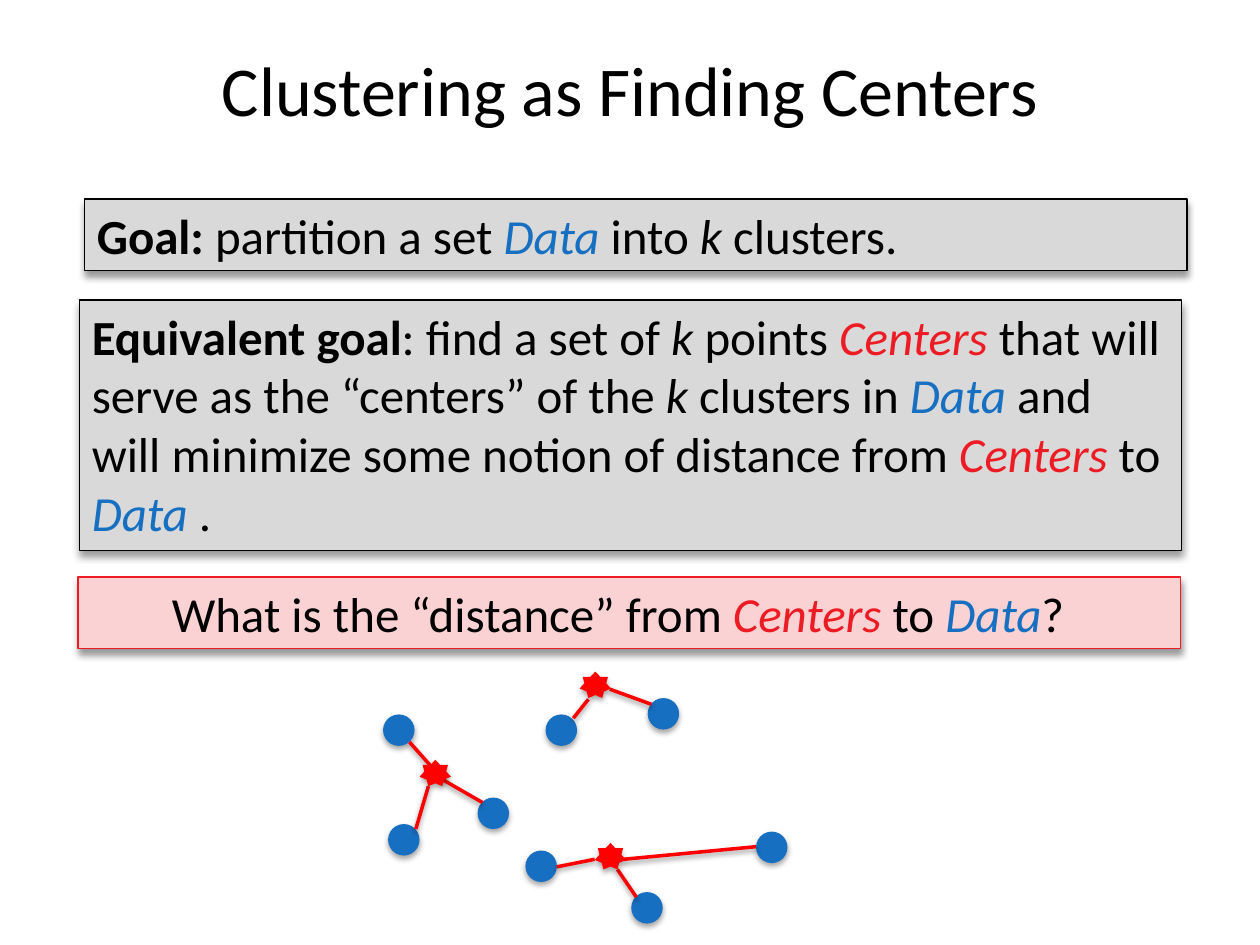
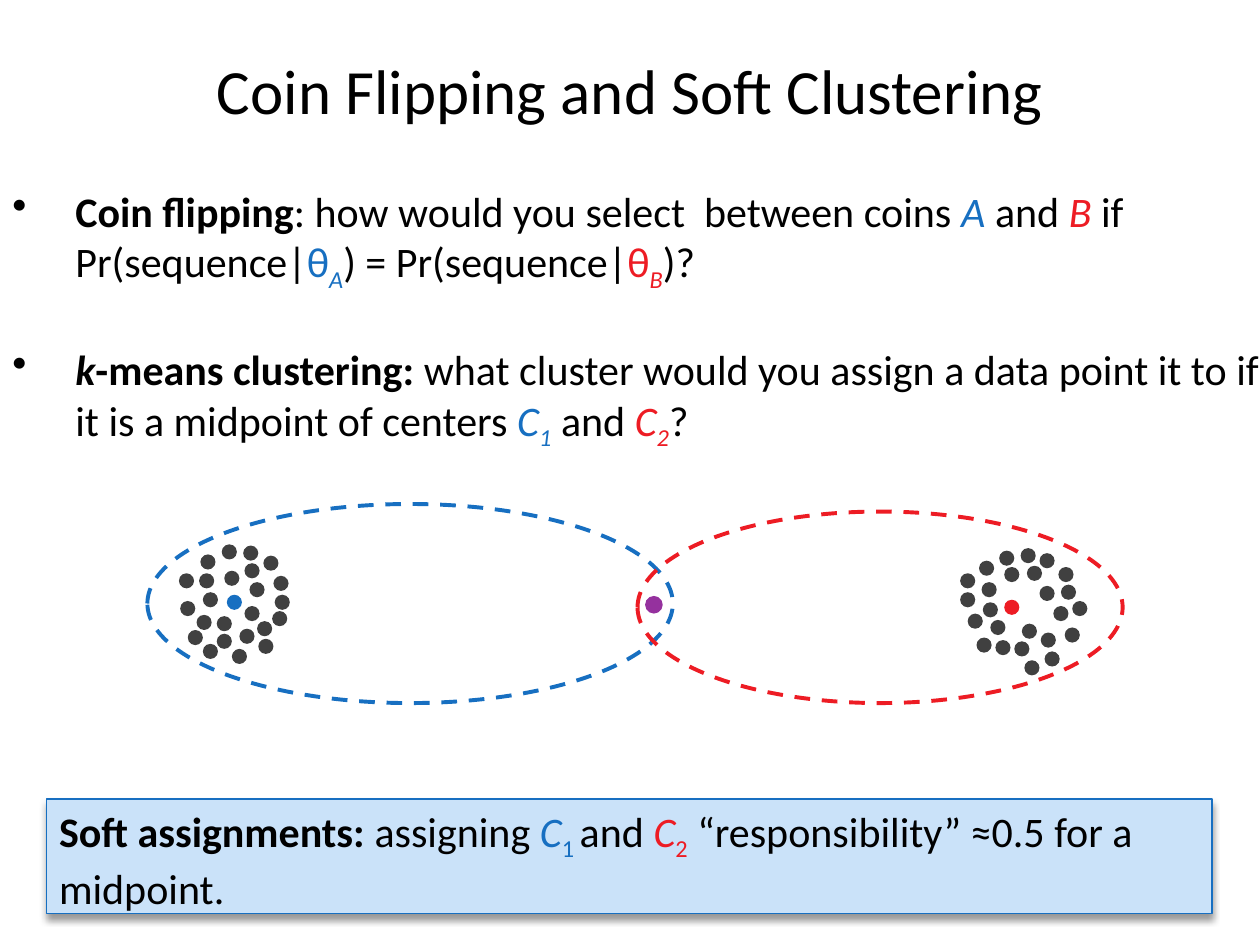
from dataclasses import dataclass

from lxml.etree import SubElement
from pptx import Presentation
from pptx.dml.color import RGBColor
from pptx.enum.dml import MSO_LINE
from pptx.enum.shapes import MSO_CONNECTOR, MSO_SHAPE
from pptx.enum.text import MSO_ANCHOR, PP_ALIGN
from pptx.oxml.ns import qn
from pptx.util import Emu, Pt

# Shared look: 100 px make one inch
SCALE = 9144
SLIDE_WIDTH, SLIDE_HEIGHT = 1000, 750
FONT = "Calibri"
BLACK = RGBColor(0x00, 0x00, 0x00)
BLUE = RGBColor(0x17, 0x6F, 0xC1)
RED = RGBColor(0xED, 0x1C, 0x24)
PURE_RED = RGBColor(0xFF, 0x00, 0x00)
PURPLE = RGBColor(0x95, 0x31, 0x9E)
DARK_GRAY = RGBColor(0x40, 0x40, 0x40)
LIGHT_GRAY = RGBColor(0xD9, 0xD9, 0xD9)
PALE_RED = RGBColor(0xFB, 0xD2, 0xD3)
PALE_BLUE = RGBColor(0xCA, 0xE2, 0xF9)

# Shadows: opacity in percent, blur and distance in points
MARK_SHADOW = (35, 3.15, 1.8)
LINE_SHADOW = (38, 3.15, 1.6)
BOX_SHADOW = (40, 4, 3)


@dataclass(frozen=True)
class Style:
    color: RGBColor = BLACK
    bold: bool = False
    italic: bool = False
    subscript: bool = False


PLAIN = Style()
BOLD = Style(bold=True)
ITALIC = Style(italic=True)
BOLD_ITALIC = Style(bold=True, italic=True)
BLUE_TEXT = Style(BLUE)
BLUE_ITALIC = Style(BLUE, italic=True)
BLUE_SUB = Style(BLUE, subscript=True)
BLUE_ITALIC_SUB = Style(BLUE, italic=True, subscript=True)
RED_TEXT = Style(RED)
RED_ITALIC = Style(RED, italic=True)
RED_SUB = Style(RED, subscript=True)
RED_ITALIC_SUB = Style(RED, italic=True, subscript=True)

# Slide 1: data points, centers and the lines that join them
DATA_POINTS = [(304, 567), (308, 654), (379, 633), (514, 554),
               (433, 567), (417, 675), (600, 660), (501, 708)]
CENTERS = [(460, 533), (472, 669), (333, 603)]
DISTANCES = [(325, 589, 342, 608), (350, 618, 383, 637), (340, 624, 330, 658),
             (442, 688, 472, 682), (495, 682, 600, 672), (490, 690, 505, 712),
             (455, 570, 467, 555), (484, 547, 517, 559)]

# Slide 2: points of the two clusters
LEFT_CLUSTER = [
    (216, 485), (142, 455), (205, 507), (209, 441), (158, 455), (176, 432),
    (156, 488), (204, 493), (184, 515), (161, 511), (190, 499), (218, 472),
    (193, 433), (143, 477), (161, 470), (159, 440), (217, 457), (178, 453),
    (194, 481), (198, 462), (194, 447), (172, 503), (149, 500), (172, 489)]
RIGHT_CLUSTER = [
    (813, 524), (793, 437), (829, 517), (775, 506), (797, 450), (762, 470),
    (815, 449), (826, 502), (851, 477), (840, 450), (836, 481), (805, 509),
    (845, 498), (810, 435), (811, 495), (777, 445), (790, 508), (779, 462),
    (762, 455), (786, 492), (768, 487), (780, 478), (842, 464), (825, 439),
    (825, 465)]


def px(*lengths):
    return [Emu(length * SCALE) for length in lengths]


def set_shadow(shape, shadow=None):
    """Replace the theme shadow by the given one, or by none."""
    effects = SubElement(shape.element.spPr, qn("a:effectLst"))
    if shadow:
        opacity, blur, distance = shadow
        outer = SubElement(effects, qn("a:outerShdw"), blurRad=str(Pt(blur)),
                           dist=str(Pt(distance)), dir="5400000", rotWithShape="0")
        color = SubElement(outer, qn("a:srgbClr"), val=str(BLACK))
        SubElement(color, qn("a:alpha"), val=str(opacity * 1000))


def write_runs(paragraph, runs, size):
    for text, style in runs:
        run = paragraph.add_run()
        run.text = text
        font = run.font
        font.name, font.size = FONT, Pt(size)
        font.bold, font.italic = style.bold, style.italic
        font.color.rgb = style.color
        if style.subscript:
            run._r.get_or_add_rPr().set("baseline", "-25000")


def add_title(slide, text, size):
    text_frame = slide.shapes.add_textbox(*px(0, 8, SLIDE_WIDTH, 125)).text_frame
    text_frame.word_wrap = True
    text_frame.vertical_anchor = MSO_ANCHOR.MIDDLE
    paragraph = text_frame.paragraphs[0]
    paragraph.alignment = PP_ALIGN.CENTER
    write_runs(paragraph, [(text, PLAIN)], size)


def add_bullets(slide, box, items, size, gap):
    text_frame = slide.shapes.add_textbox(*px(*box)).text_frame
    text_frame.word_wrap = True
    for index, runs in enumerate(items):
        paragraph = text_frame.add_paragraph() if index else text_frame.paragraphs[0]
        if index:
            paragraph.space_before = Pt(gap)
        properties = paragraph._p.get_or_add_pPr()
        indent = 50 * SCALE
        properties.set("marL", str(indent))
        properties.set("indent", str(-indent))
        SubElement(properties, qn("a:buChar"), char="•")
        write_runs(paragraph, runs, size)


def add_shape(slide, kind, box, fill=None, line=None, line_width=0.75,
              dashed=False, shadow=None):
    shape = slide.shapes.add_shape(kind, *px(*box))
    if fill is None:
        shape.fill.background()
    else:
        shape.fill.solid()
        shape.fill.fore_color.rgb = fill
    if line is None:
        shape.line.fill.background()
    else:
        shape.line.color.rgb = line
        shape.line.width = Pt(line_width)
        if dashed:
            shape.line.dash_style = MSO_LINE.DASH
    set_shadow(shape, shadow)
    return shape


def add_text_panel(slide, box, fill, line, runs, size,
                   alignment=PP_ALIGN.LEFT, margin_right=10):
    panel = add_shape(slide, MSO_SHAPE.RECTANGLE, box, fill, line, shadow=BOX_SHADOW)
    text_frame = panel.text_frame
    text_frame.word_wrap = True
    text_frame.vertical_anchor = MSO_ANCHOR.TOP
    text_frame.margin_right, = px(margin_right)
    paragraph = text_frame.paragraphs[0]
    paragraph.alignment = alignment
    write_runs(paragraph, runs, size)


def add_dot(slide, position, diameter, color, shadow=None):
    add_shape(slide, MSO_SHAPE.OVAL, (*position, diameter, diameter), color,
              shadow=shadow)


def add_distance(slide, ends):
    connector = slide.shapes.add_connector(MSO_CONNECTOR.STRAIGHT, *px(*ends))
    connector.line.color.rgb = PURE_RED
    connector.line.width = Pt(2)
    set_shadow(connector, LINE_SHADOW)


def build_centers_slide(slide):
    add_title(slide, "Clustering as Finding Centers", 40)

    # Data, distances and centers
    for position in DATA_POINTS:
        add_dot(slide, position, 25, BLUE, MARK_SHADOW)
    for ends in DISTANCES:
        add_distance(slide, ends)
    for position in CENTERS:
        add_shape(slide, MSO_SHAPE.STAR_7_POINT, (*position, 25, 21), PURE_RED,
                  shadow=MARK_SHADOW)

    # Goals and question
    add_text_panel(slide, (67, 158, 875, 57), LIGHT_GRAY, BLACK, [
        ("Goal:", BOLD), (" partition a set ", PLAIN), ("Data ", BLUE_ITALIC),
        ("into ", PLAIN), ("k ", ITALIC), ("clusters.", PLAIN)], 28)
    add_text_panel(slide, (63, 238, 875, 199), LIGHT_GRAY, BLACK, [
        ("Equivalent goal", BOLD), (": find a set of ", PLAIN), ("k ", ITALIC),
        ("points ", PLAIN), ("Centers ", RED_ITALIC),
        ("that will serve as the “centers” of the ", PLAIN), ("k", ITALIC),
        (" clusters in ", PLAIN), ("Data ", BLUE_ITALIC),
        ("and will minimize some notion of distance from ", PLAIN),
        ("Centers ", RED_ITALIC), ("to ", PLAIN), ("Data ", BLUE_ITALIC),
        (".", PLAIN)], 28)
    add_text_panel(slide, (62, 458, 875, 57), PALE_RED, RED, [
        ("What is the “distance” from ", PLAIN), ("Centers ", RED_ITALIC),
        ("to ", PLAIN), ("Data", BLUE_ITALIC), ("?", PLAIN)], 28,
        PP_ALIGN.CENTER, margin_right=28)


def build_soft_clustering_slide(slide):
    add_title(slide, "Coin Flipping and Soft Clustering", 36)
    add_bullets(slide, (0, 142, 1017, 212), [
        [("Coin flipping", BOLD),
         (": how would you select  between coins ", PLAIN), ("A", BLUE_ITALIC),
         (" and ", PLAIN), ("B ", RED_ITALIC), ("if Pr(sequence|", PLAIN),
         ("θ", BLUE_TEXT), ("A", BLUE_ITALIC_SUB), (") = Pr(sequence|", PLAIN),
         ("θ", RED_TEXT), ("B", RED_ITALIC_SUB), (")?", PLAIN)],
        [("k", BOLD_ITALIC), ("-means clustering: ", BOLD),
         ("what cluster would you assign a data point it to if it is a "
          "midpoint of centers ", PLAIN),
         ("C", BLUE_ITALIC), ("1", BLUE_ITALIC_SUB), (" and ", PLAIN),
         ("C", RED_ITALIC), ("2", RED_ITALIC_SUB), ("?", PLAIN)],
    ], 24, 29)

    # Clusters, their outlines and centers, and the midpoint
    for position in RIGHT_CLUSTER + LEFT_CLUSTER:
        add_dot(slide, position, 12, DARK_GRAY)
    for box, color in [((117, 400, 417, 158), BLUE), ((506, 406, 385, 152), RED)]:
        add_shape(slide, MSO_SHAPE.OVAL, box, line=color, line_width=2.25, dashed=True)
    add_dot(slide, (797, 476), 12, RED)
    add_dot(slide, (180, 472), 12, BLUE)
    add_dot(slide, (512, 473), 14, PURPLE)

    # Conclusion
    add_text_panel(slide, (37, 634, 925, 91), PALE_BLUE, BLUE, [
        ("Soft assignments:", BOLD), (" assigning ", PLAIN), ("C", BLUE_ITALIC),
        ("1 ", BLUE_SUB), ("and ", PLAIN), ("C", RED_ITALIC), ("2", RED_SUB),
        (" “responsibility” ≈0.5 for a midpoint.", PLAIN)], 24)


def main():
    presentation = Presentation()
    presentation.slide_width, presentation.slide_height = px(SLIDE_WIDTH, SLIDE_HEIGHT)
    blank = presentation.slide_layouts[6]
    for build in (build_centers_slide, build_soft_clustering_slide):
        build(presentation.slides.add_slide(blank))
    presentation.save("out.pptx")


if __name__ == "__main__":
    main()
